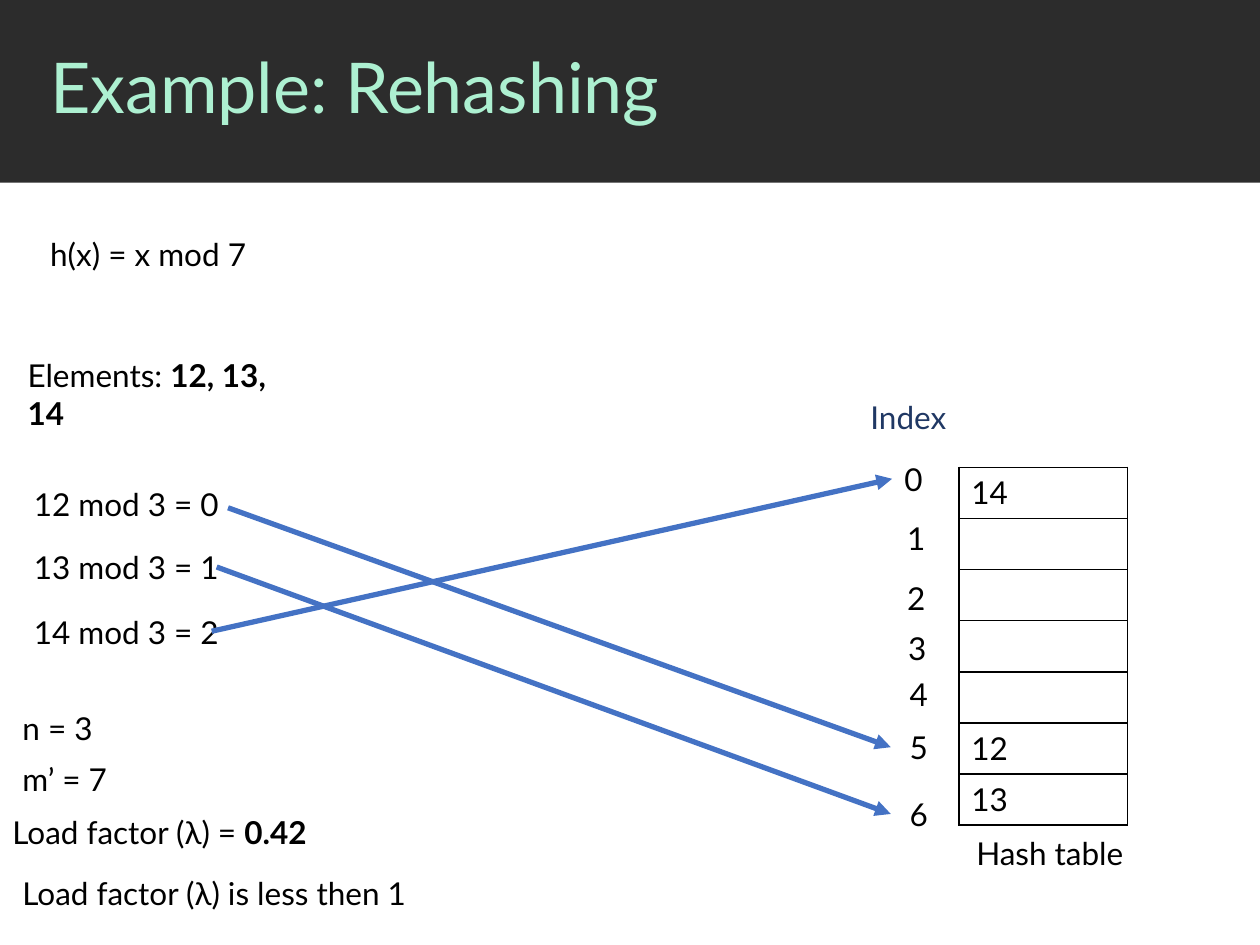
from typing import NamedTuple

from lxml.etree import SubElement as Sub
from pptx import Presentation
from pptx.dml.color import RGBColor as Rgb
from pptx.enum.shapes import MSO_CONNECTOR as Link, MSO_SHAPE as Shape
from pptx.enum.text import MSO_ANCHOR as Anchor, MSO_AUTO_SIZE as Fit
from pptx.oxml.ns import qn
from pptx.util import Pt

PX = 9144
HUES = {"bar": "2C2C2C", "title": "ADF0D1", "ink": "000000",
        "index": "203864", "arrow": "4472C4"}
FONT = {"name": "Lato", "size": Pt(18)}
HEAD = {"name": "Lato", "size": Pt(40)}
NOTE = {"word_wrap": True, "auto_size": Fit.SHAPE_TO_FIT_TEXT}
BAND = {"word_wrap": True, "vertical_anchor": Anchor.MIDDLE}
GRID = {"first_row": False, "horz_banding": False}


class Label(NamedTuple):
    """Text box with an optional bold ending."""
    left: int
    top: int
    width: int
    text: str
    bold: str = ""
    hue: str = "ink"


class Arrow(NamedTuple):
    """Straight arrow from a sum to its index."""
    x1: int
    y1: int
    x2: int
    y2: int


SUMS = [Label(17, top, 173, text) for top, text in (
    (380, "12 mod 3 = 0"), (430, "13 mod 3 = 1"), (482, "14 mod 3 = 2"))]
KEYS = [Label(left, top, 45, str(key)) for key, (left, top) in enumerate((
    (708, 360), (710, 407), (710, 455), (711, 494),
    (712, 531), (712, 573), (712, 626)))]
NOTES = [
    Label(765, 657, 146, "Hash table"),
    Label(681, 311, 84, "Index", hue="index"),
    Label(30, 182, 202, "h(x) = x mod 7"),
    Label(12, 278, 239, "Elements: ", "12, 13, 14"),
    Label(8, 558, 93, "n = 3"),
    Label(8, 598, 115, "m’ = 7"),
    Label(0, 640, 281, "Load factor (λ) = ", "0.42"),
    Label(8, 689, 356, "Load factor (λ) is less then 1"),
]
ARROWS = [Arrow(181, 403, 707, 593), Arrow(172, 450, 707, 646),
          Arrow(168, 501, 708, 380)]
SLOTS = ["14", "", "", "", "", "12", "13"]


def emu(*sizes: int) -> list[int]:
    """Turn px into EMU."""
    return [size * PX for size in sizes]


def tint(name: str) -> Rgb:
    """Look up a colour."""
    return Rgb.from_string(HUES[name])


def apply(thing, form: dict) -> None:
    """Set each format value on an object."""
    for key, value in form.items():
        setattr(thing, key, value)


def write(para, text: str, form: dict, hue: str = "ink") -> None:
    """Add a run of styled text."""
    run = para.add_run()
    run.text = text
    apply(run.font, form)
    run.font.color.rgb = tint(hue)


def draw_bar(slide) -> None:
    """Draw the title band and its text."""
    bar = slide.shapes.add_shape(Shape.RECTANGLE, *emu(0, 0, 1000, 145))
    bar.shadow.inherit = False
    bar.fill.solid()
    bar.fill.fore_color.rgb = tint("bar")
    bar.line.fill.background()
    frame = slide.shapes.add_textbox(*emu(30, 0, 970, 144)).text_frame
    apply(frame, BAND)
    para = frame.paragraphs[0]
    para.line_spacing = 0.9
    write(para, "Example: Rehashing", HEAD, "title")


def draw_label(slide, label: Label) -> None:
    """Draw one text box."""
    box = slide.shapes.add_textbox(*emu(label.left, label.top, label.width, 40))
    apply(box.text_frame, NOTE)
    para = box.text_frame.paragraphs[0]
    write(para, label.text, FONT, label.hue)
    if label.bold:
        write(para, label.bold, FONT | {"bold": True}, label.hue)


def draw_arrow(slide, arrow: Arrow) -> None:
    """Draw one arrow with a triangle head."""
    link = slide.shapes.add_connector(Link.STRAIGHT, *emu(*arrow))
    link.line.color.rgb = tint("arrow")
    link.line.width = Pt(3)
    props = link._element.spPr
    Sub(props.find(qn("a:ln")), qn("a:tailEnd"), type="triangle")
    Sub(props, qn("a:effectLst"))


def frame_cell(cell) -> None:
    """Give a cell thin borders and no fill."""
    props = cell._tc.get_or_add_tcPr()
    for side in "LRTB":
        edge = Sub(props, qn(f"a:ln{side}"), w=str(Pt(1)))
        fill = Sub(edge, qn("a:solidFill"))
        Sub(fill, qn("a:srgbClr"), val=HUES["ink"])
    cell.fill.background()


def draw_table(slide) -> None:
    """Draw the hash table."""
    shape = slide.shapes.add_table(len(SLOTS), 1, *emu(761, 371, 134, 284))
    apply(shape.table, GRID)
    for row, text in enumerate(SLOTS):
        cell = shape.table.cell(row, 0)
        frame_cell(cell)
        if text:
            write(cell.text_frame.paragraphs[0], text, FONT)


def main() -> None:
    """Build and save the slide."""
    deck = Presentation()
    deck.slide_width, deck.slide_height = emu(1000, 750)
    slide = deck.slides.add_slide(deck.slide_layouts[6])
    draw_bar(slide)
    draw_table(slide)
    for label in NOTES + SUMS + KEYS:
        draw_label(slide, label)
    for arrow in ARROWS:
        draw_arrow(slide, arrow)
    deck.save("out.pptx")


if __name__ == "__main__":
    main()
